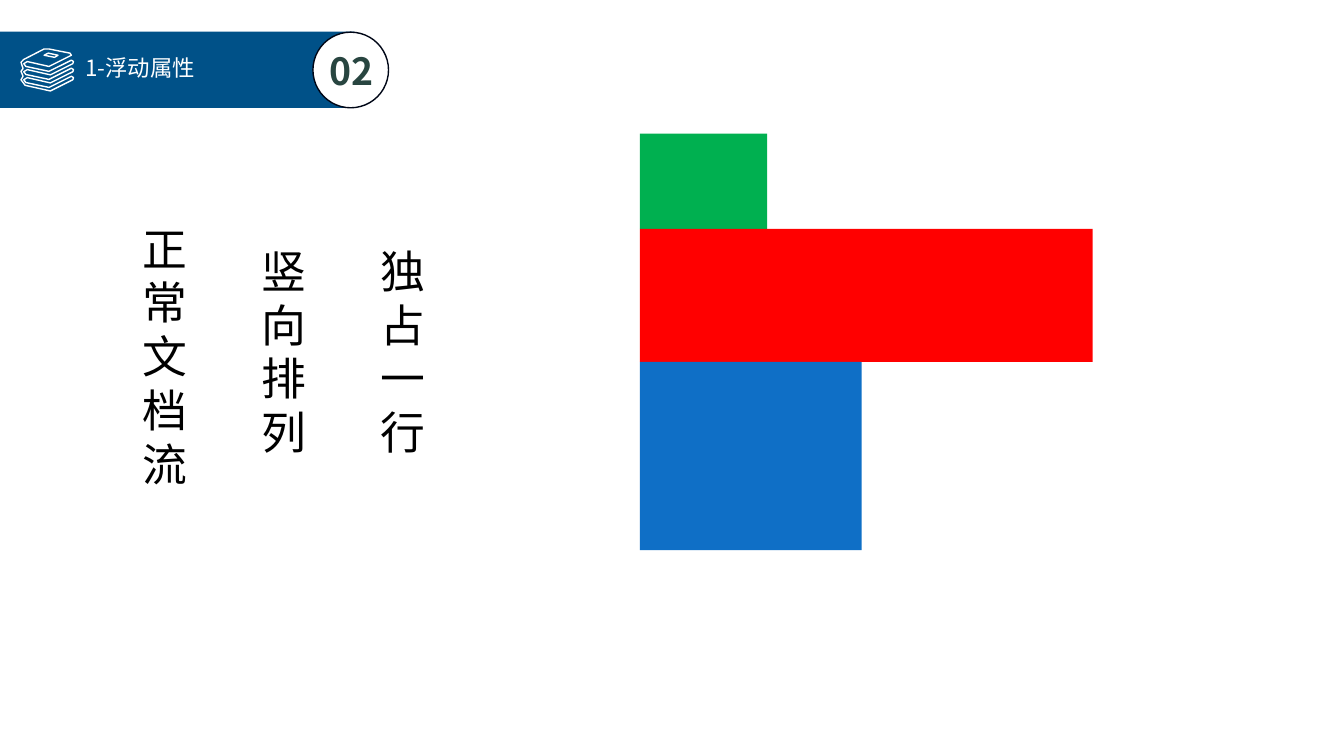
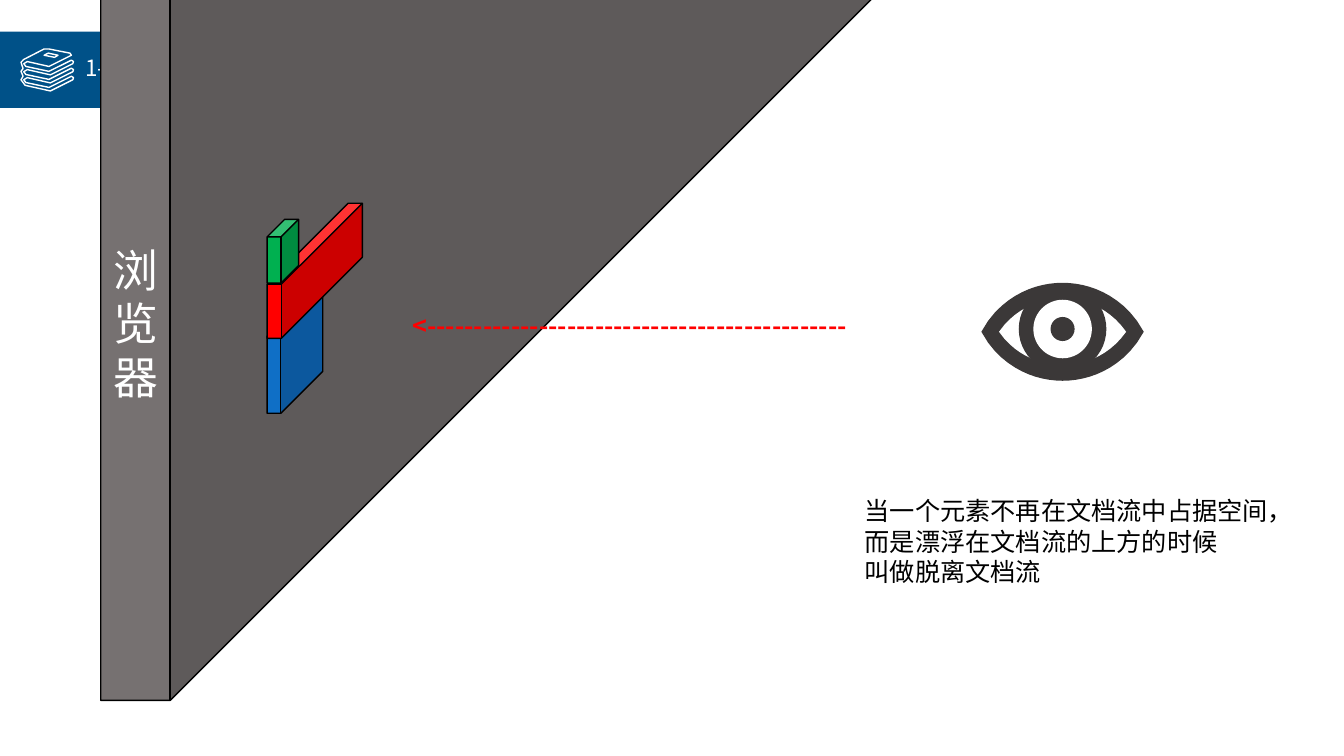
from math import sqrt

from lxml import etree
from pptx import Presentation
from pptx.dml.color import RGBColor
from pptx.enum.shapes import MSO_SHAPE
from pptx.enum.text import MSO_ANCHOR, PP_ALIGN
from pptx.oxml.ns import qn
from pptx.util import Pt

RECT, OVAL, CUBE = MSO_SHAPE.RECTANGLE, MSO_SHAPE.OVAL, MSO_SHAPE.CUBE
LEFT, CENTER = PP_ALIGN.LEFT, PP_ALIGN.CENTER
TOP, MIDDLE = MSO_ANCHOR.TOP, MSO_ANCHOR.MIDDLE

FONT = "Noto Sans CJK SC"
LEADING = 1.2
COLORS = {
    "band": "005188", "white": "FFFFFF", "black": "000000", "ring": "000717",
    "number": "284540", "green": "00B050", "red": "FF0000", "blue": "0F6FC6",
    "wall": "767171", "eye": "3B3838",
}


def rgb(name):
    return RGBColor.from_string(COLORS[name])


def paint(shape, fill=None, line=None):
    shape.shadow.inherit = False
    if fill:
        shape.fill.solid()
        shape.fill.fore_color.rgb = rgb(fill)
    else:
        shape.fill.background()
    if line:
        shape.line.color.rgb = rgb(line)
        shape.line.width = Pt(1)
    else:
        shape.line.fill.background()
    return shape


def add_preset(slide, kind, box, fill, line=None, depth=None):
    shape = slide.shapes.add_shape(kind, *map(Pt, box))
    if depth is not None:
        shape.adjustments[0] = depth
    return paint(shape, fill, line)


def add_outline(slide, contours, fill=None, line=None):
    contours = [[(Pt(x), Pt(y)) for x, y in contour] for contour in contours]
    builder = slide.shapes.build_freeform(*contours[0][0])
    for index, contour in enumerate(contours):
        if index:
            builder.move_to(*contour[0])
        builder.add_line_segments(contour[1:], close=True)
    return paint(builder.convert_to_shape(), fill, line)


def write(frame, lines, size, color="black", bold=False, align=LEFT, anchor=TOP, wrap=True):
    frame.word_wrap = wrap
    frame.vertical_anchor = anchor
    for index, line in enumerate(lines):
        paragraph = frame.add_paragraph() if index else frame.paragraphs[0]
        paragraph.alignment = align
        paragraph.line_spacing = Pt(round(size * LEADING, 1))
        run = paragraph.add_run()
        run.text = line
        run.font.size = Pt(size)
        run.font.bold = bold
        run.font.name = FONT
        run.font.color.rgb = rgb(color)
        etree.SubElement(run.font._element, qn("a:ea"), typeface=FONT)


def add_text(slide, box, lines, size, **style):
    write(slide.shapes.add_textbox(*map(Pt, box)).text_frame, lines, size, **style)


def add_books(slide, left, top):
    layer_step = 5.75
    layer = [(21, 19), (37, 11), (37.5, 9.5), (36, 8.5),
             (20, 16.5), (3.5, 13), (2, 11), (4.5, 9.5)]
    cover = [(20, 13), (36, 5), (35, 3.5), (20, 0.5), (16.5, 0.5), (2, 8), (0, 10),
             (1.5, 14.5), (0, 16.5), (1.5, 20), (0, 22.5), (3, 26.5)]
    label = [(19.5, 3.5), (26.5, 5), (24, 6.5), (16.5, 5)]
    bottom, middle, lowest = [
        [(x, y + step * layer_step) for x, y in layer] for step in (1, 0, 2)]
    contours = [bottom + middle + cover + lowest, label]
    add_outline(slide, [[(left + x, top + y) for x, y in contour] for contour in contours],
                line="white")


def add_header(slide, title, number=None, top=22.5):
    add_preset(slide, RECT, (0, top, 253, 54.5), "band")
    if number:
        add_preset(slide, OVAL, (223.5, top + 0.5, 54, 54), "white", "ring")
        add_text(slide, (224.5, top + 8.5, 53, 40), [number], 26.7,
                 color="number", bold=True, align=CENTER)
    add_text(slide, (54, top + 13, 182, 30), [title], 16, color="white")
    add_books(slide, 15, top + 12)


def add_columns(slide, left, pitch, columns):
    for index, (phrase, top) in enumerate(columns):
        add_text(slide, (left + index * pitch, top, 47, 200), phrase, 32, wrap=False)


def add_flow_blocks(slide, left, top):
    for color, width, height in (("green", 91, 68), ("red", 323.5, 95), ("blue", 158.5, 134.5)):
        add_preset(slide, RECT, (left, top, width, height), color)
        top += height


def add_browser(slide, left, top):
    wall = add_preset(slide, CUBE, (left, top, 697.7, 1187.3), "wall", "black", 0.929)
    write(wall.text_frame, ["浏览器"], 32, color="white", align=CENTER, anchor=MIDDLE)


def add_floating_blocks(slide, left, top):
    for color, offset, width, height, depth in (
            ("blue", 65, 39.8, 85, 0.754),
            ("red", 0, 68, 96.5, 0.852),
            ("green", 11.5, 22.5, 45.5, 0.557)):
        add_preset(slide, CUBE, (left, top + offset, width, height), color, "black", depth)


def lens(center_x, center_y, half_width, half_height, steps=24):
    radius = (half_width ** 2 + half_height ** 2) / (2 * half_height)
    xs = [half_width * (2 * step / steps - 1) for step in range(steps + 1)]
    arc = [(x, sqrt(radius ** 2 - x ** 2) - radius + half_height) for x in xs]
    upper = [(center_x + x, center_y - y) for x, y in arc]
    lower = [(center_x + x, center_y + y) for x, y in reversed(arc)]
    return upper + lower[1:-1]


def add_eye(slide, center_x, center_y):
    for color, half_width, half_height in (("eye", 58, 35), ("white", 45.4, 23.8)):
        add_outline(slide, [lens(center_x, center_y, half_width, half_height)], fill=color)
    for color, radius in (("eye", 31.3), ("white", 20.9), ("eye", 8.6)):
        add_preset(slide, OVAL, (center_x - radius, center_y - 2 - radius,
                                 2 * radius, 2 * radius), color)


def build_normal_flow(slide):
    add_header(slide, "1-浮动属性", "02")
    add_flow_blocks(slide, 457, 95.5)
    add_columns(slide, 94.5, 85, (("正常文档流", 154.5), ("竖向排列", 170.5), ("独占一行", 170.5)))


def build_out_of_flow(slide):
    add_header(slide, "1-浮动属性")
    add_browser(slide, 72, -687)
    add_floating_blocks(slide, 190.8, 145.2)
    add_eye(slide, 759, 237)
    add_text(slide, (287.5, 218, 385, 29),
             ["<---------------------------------------------"], 18, color="red", bold=True)
    add_text(slide, (610.5, 350.5, 323, 73),
             ["当一个元素不再在文档流中占据空间，", "而是漂浮在文档流的上方的时候", "叫做脱离文档流"],
             18, wrap=False)


def main():
    deck = Presentation()
    deck.slide_width, deck.slide_height = Pt(960), Pt(540)
    for build in (build_normal_flow, build_out_of_flow):
        build(deck.slides.add_slide(deck.slide_layouts[6]))
    deck.save("out.pptx")


if __name__ == "__main__":
    main()
